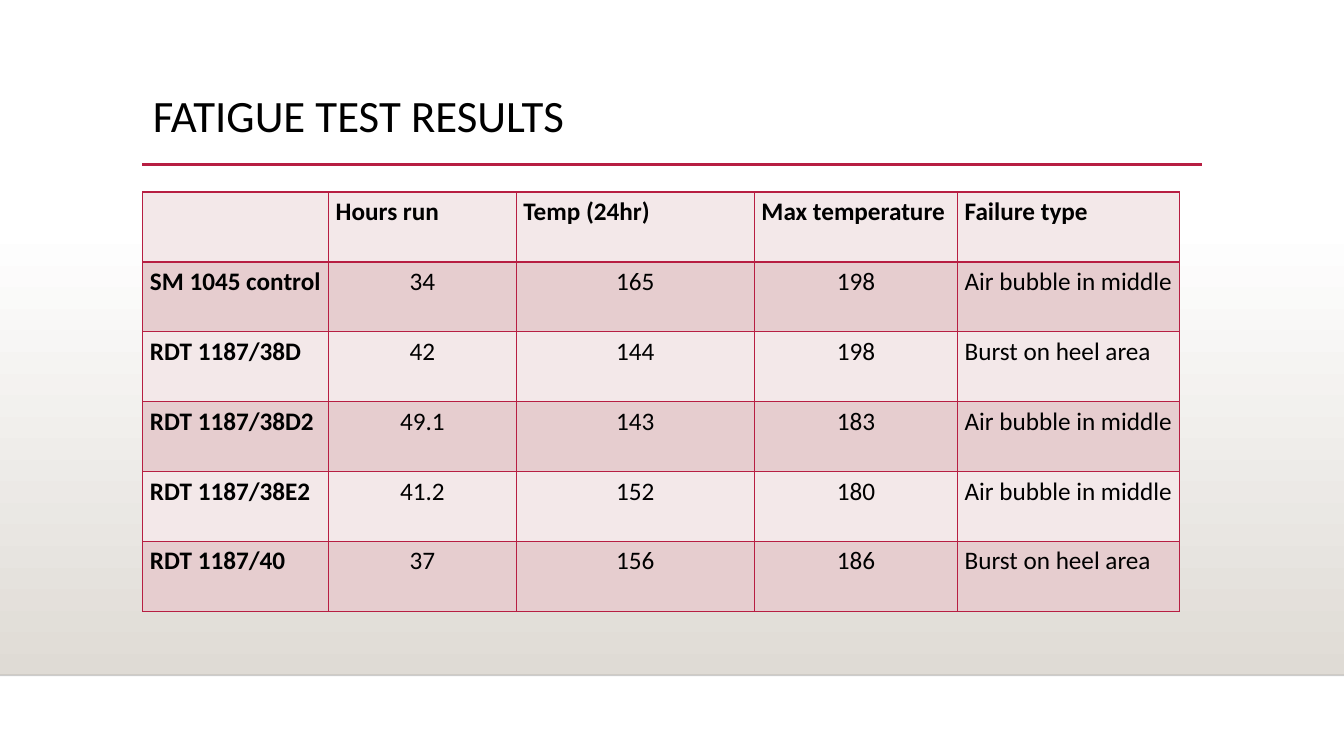
from pptx import Presentation
from pptx.dml.color import RGBColor
from pptx.enum.shapes import MSO_CONNECTOR, MSO_SHAPE
from pptx.enum.text import MSO_ANCHOR, PP_ALIGN
from pptx.oxml import parse_xml
from pptx.oxml.ns import nsdecls
from pptx.util import Cm, Pt
from lxml.etree import SubElement

HUES = {
    "ink": "000000",
    "white": "FFFFFF",
    "sand": "DFDBD5",
    "red": "B71E42",
    "pale": "F3E8E9",
    "rose": "E6CDCF",
}
ROWS = [
    ["", "Hours run", "Temp (24hr)", "Max temperature", "Failure type"],
    ["SM 1045 control", "34", "165", "198", "Air bubble in middle"],
    ["RDT 1187/38D", "42", "144", "198", "Burst on heel area"],
    ["RDT 1187/38D2", "49.1", "143", "183", "Air bubble in middle"],
    ["RDT 1187/38E2", "41.2", "152", "180", "Air bubble in middle"],
    ["RDT 1187/40", "37", "156", "186", "Burst on heel area"],
]
WIDTHS = [4.68, 4.73, 6, 5.12, 5.6]


class Deck:
    def __init__(self, wide, high):
        self.font = "Calibri"
        self.show = Presentation()
        self.show.slide_width, self.show.slide_height = Cm(wide), Cm(high)
        self.slide = self.show.slides.add_slide(self.show.slide_layouts[5])

    def hue(self, name):
        return RGBColor.from_string(HUES[name])

    def style(self, para, size, bold=False):
        for item in [para, *para.runs]:
            item.font.name = self.font
            item.font.size = Pt(size)
            item.font.bold = bold
            item.font.color.rgb = self.hue("ink")

    def fade(self, left, top, wide, high):
        box = self.slide.shapes.add_shape(
            MSO_SHAPE.RECTANGLE, Cm(left), Cm(top), Cm(wide), Cm(high))
        box.shadow.inherit = False
        box.line.fill.background()
        box.fill.gradient()
        box.fill.gradient_angle = 270
        for stop, name, place in zip(box.fill.gradient_stops, ["white", "sand"], [0, 1]):
            stop.color.rgb = self.hue(name)
            stop.position = place

    def rule(self, left, right, top, name, width, alpha=100):
        line = self.slide.shapes.add_connector(
            MSO_CONNECTOR.STRAIGHT, Cm(left), Cm(top), Cm(right), Cm(top))
        line.line.color.rgb = self.hue(name)
        line.line.width = Pt(width)
        props = line.element.spPr
        if alpha < 100:
            tint = props.find(".//{*}ln//{*}srgbClr")
            SubElement(tint, tint.tag.replace("srgbClr", "alpha"), val=str(alpha * 1000))
        props.append(parse_xml(f"<a:effectLst {nsdecls('a')}/>"))

    def title(self, text, left, top, wide, high):
        box = self.slide.shapes.title
        box.left, box.top, box.width, box.height = Cm(left), Cm(top), Cm(wide), Cm(high)
        frame = box.text_frame
        frame.text = text
        frame.word_wrap = True
        frame.vertical_anchor = MSO_ANCHOR.TOP
        para = frame.paragraphs[0]
        para.alignment = PP_ALIGN.LEFT
        para.line_spacing = 0.9
        self.style(para, 32)

    def edge(self, cell, name):
        props = cell._tc.get_or_add_tcPr()
        for side in "LRTB":
            props.append(parse_xml(
                f'<a:ln{side} {nsdecls("a")} w="12700"><a:solidFill>'
                f'<a:srgbClr val="{HUES[name]}"/></a:solidFill></a:ln{side}>'))

    def table(self, rows, widths, left, top, high):
        grid = self.slide.shapes.add_table(
            len(rows), len(widths), Cm(left), Cm(top),
            Cm(sum(widths)), Cm(high * len(rows))).table
        grid.first_row = grid.horz_banding = False
        for col, wide in zip(grid.columns, widths):
            col.width = Cm(wide)
        for r, row in enumerate(rows):
            for c, text in enumerate(row):
                cell = grid.cell(r, c)
                cell.margin_left = cell.margin_right = Cm(0.18)
                cell.margin_top = cell.margin_bottom = 0
                self.edge(cell, "red")
                cell.fill.solid()
                cell.fill.fore_color.rgb = self.hue("rose" if r % 2 else "pale")
                cell.text_frame.text = text
                para = cell.text_frame.paragraphs[0]
                middle = r > 0 and 0 < c < len(row) - 1
                para.alignment = PP_ALIGN.CENTER if middle else PP_ALIGN.LEFT
                para.line_spacing = 1.15
                para.space_after = Pt(4)
                self.style(para, 18, r == 0 or c == 0)


def main():
    deck = Deck(33.87, 19.05)
    deck.fade(0, 5.61, 33.87, 11.41)
    deck.rule(0, 33.87, 17.02, "ink", 1, 20)
    deck.rule(3.58, 30.28, 4.14, "red", 2.5)
    deck.title("FATIGUE TEST RESULTS", 3.6, 2.24, 26.67, 2.92)
    deck.table(ROWS, WIDTHS, 3.6, 4.84, 1.76)
    deck.show.save("out.pptx")


if __name__ == "__main__":
    main()
